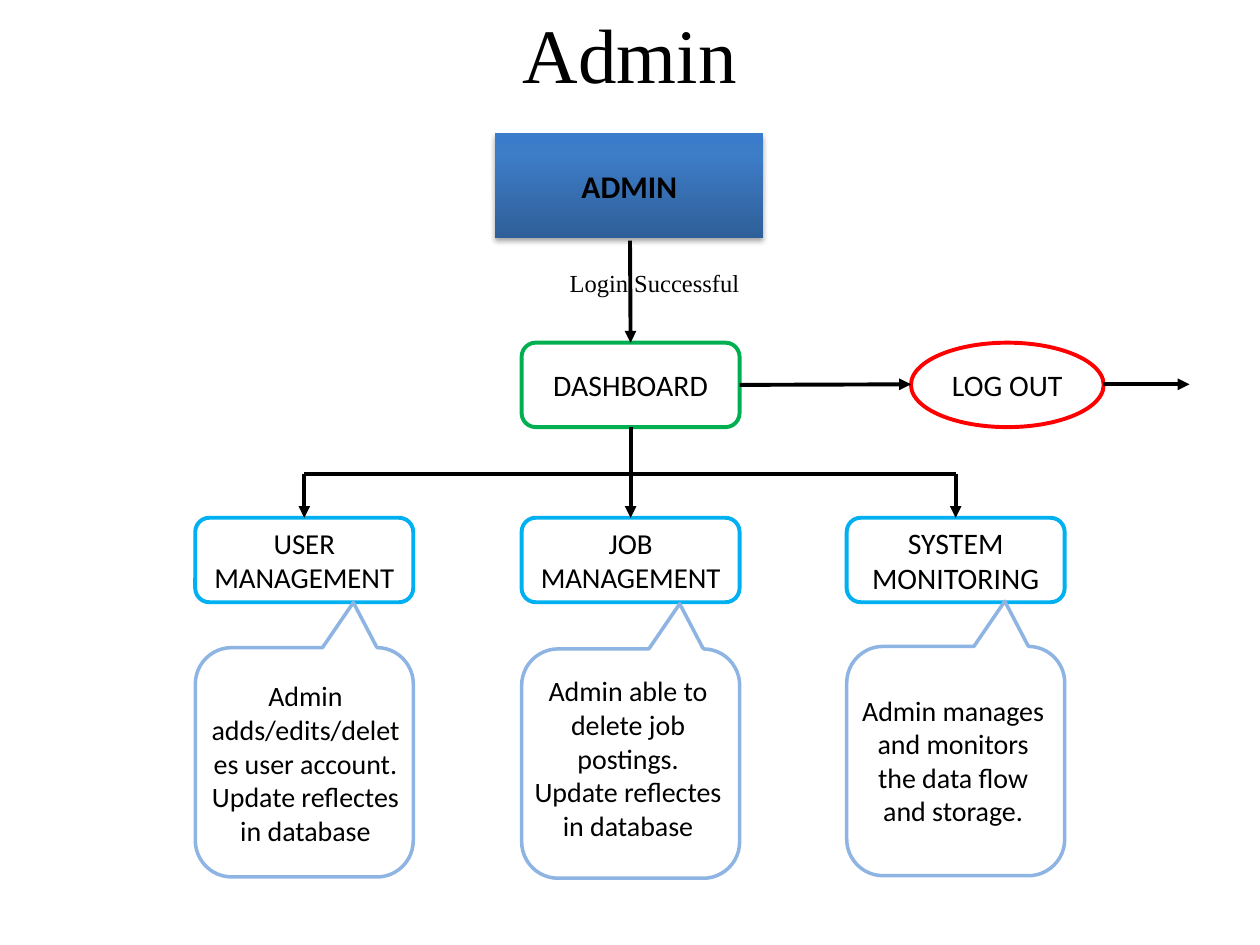
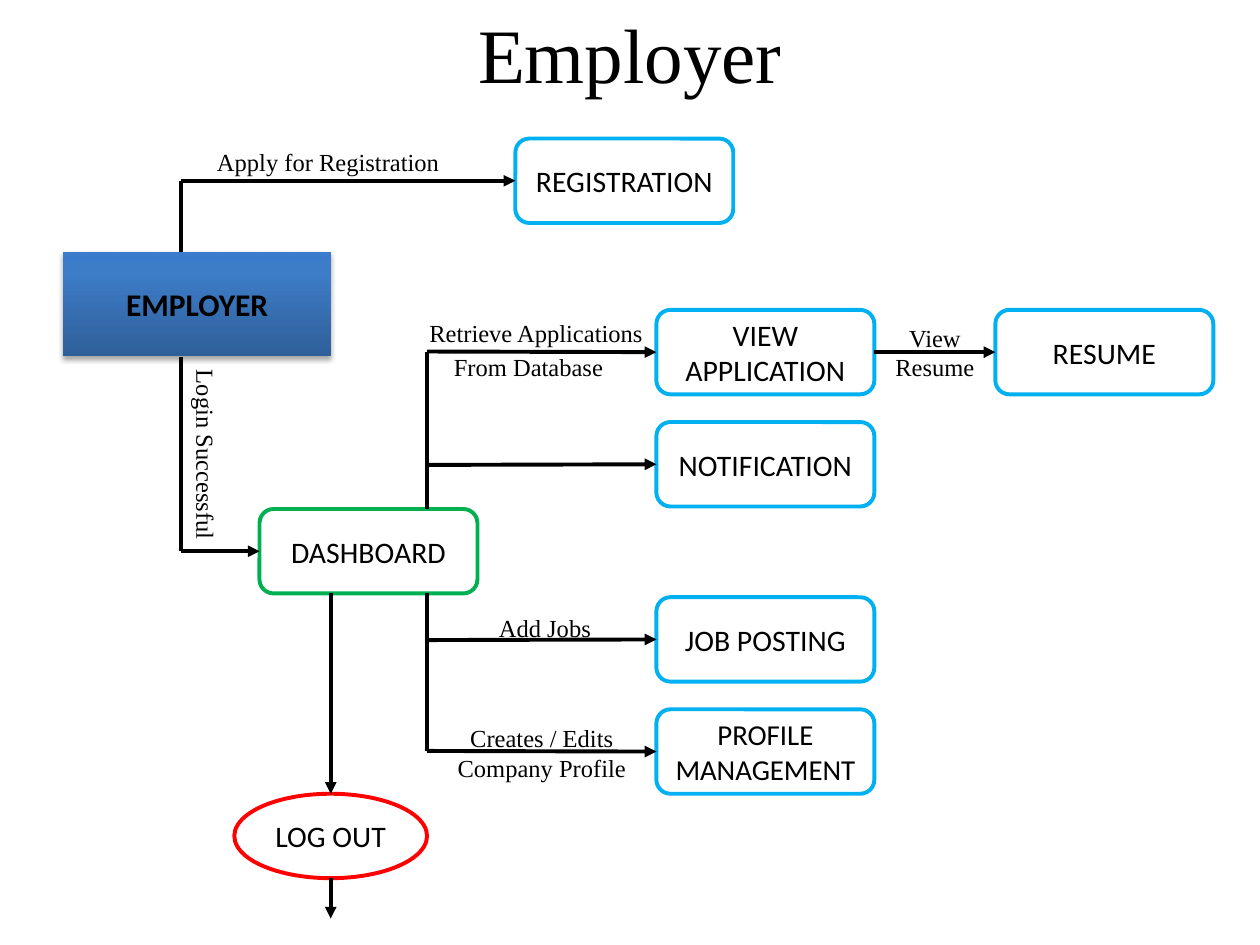
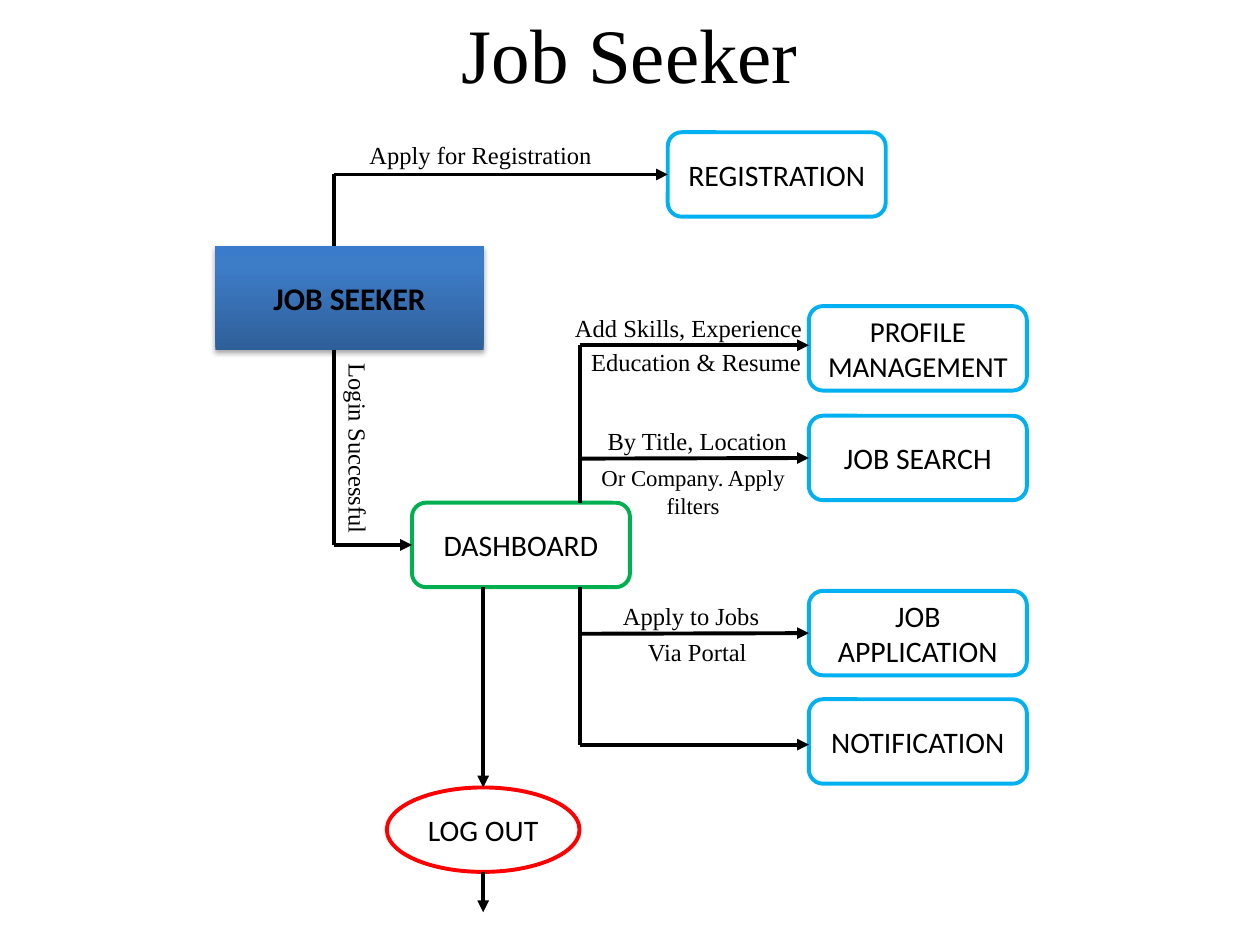
from copy import deepcopy
from dataclasses import dataclass
from typing import Any, NamedTuple

from lxml import etree
from pptx import Presentation
from pptx.dml.color import RGBColor
from pptx.enum.shapes import MSO_CONNECTOR, MSO_SHAPE
from pptx.enum.text import MSO_ANCHOR, PP_ALIGN
from pptx.oxml.ns import qn
from pptx.util import Inches, Pt

RECTANGLE = MSO_SHAPE.RECTANGLE
ROUNDED = MSO_SHAPE.ROUNDED_RECTANGLE
OVAL = MSO_SHAPE.OVAL
CALLOUT = MSO_SHAPE.ROUNDED_RECTANGULAR_CALLOUT
STRAIGHT = MSO_CONNECTOR.STRAIGHT
CENTER = PP_ALIGN.CENTER
MIDDLE = MSO_ANCHOR.MIDDLE
TOP, LEFT, BOTTOM, RIGHT = range(4)


@dataclass(frozen=True)
class Theme:
    heading_font: str = "Times New Roman"
    box_font: str = "Calibri"
    ink: str = "000000"
    paper: str = "FFFFFF"
    dashboard: str = "00B050"
    module: str = "00B0F0"
    log_out: str = "FF0000"
    callout: str = "8EB4E3"
    actor_gradient: tuple = ((0, "2F5F99"), (0.8, "3D7CC7"), (1, "3A7CCB"))
    title_size: float = 44
    actor_size: float = 18
    box_size: float = 17
    long_box_size: float = 16.5
    callout_size: float = 16
    label_size: float = 14
    small_label_size: float = 13
    line_width: float = 2.25
    callout_width: float = 2


THEME = Theme()

# Sizes in inches
ACTOR = (2.13, 0.83)
BOX = (1.73, 0.67)
LOG_OUT = (1.53, 0.67)
LABEL = (2.27, 0.4)
CALLOUT_BOX = (1.73, 1.82)
CALLOUT_TEXT = (1.73, 1.35)

# Admin: module, left, callout top, callout text, text position
ADMIN_MODULES = [
    ("USER MANAGEMENT", 1.55, 5.14,
     ["Admin adds/edits/deletes user account.", "Update reflectes in database"], (1.56, 5.38)),
    ("JOB MANAGEMENT", 4.14, 5.15,
     ["Admin able to delete job postings.", "Update reflectes in database"], (4.12, 5.34)),
    ("SYSTEM MONITORING", 6.72, 5.13,
     ["Admin manages and monitors the data flow and storage."], (6.7, 5.36)),
]

# Portal users: modules are (name, top); labels are (text, left, top, size, box)
PORTALS = [
    {
        "title": "Employer",
        "origin": (0.5, 2.0),
        "modules": [("VIEW APPLICATION", 2.46), ("NOTIFICATION", 3.35),
                    ("JOB POSTING", 4.74), ("PROFILE MANAGEMENT", 5.63)],
        "follow_up": ("RESUME", 7.9),
        "labels": [
            ("View Resume", 6.94, 2.06, THEME.label_size, (0.96, 1.47)),
            ("Add Jobs", 3.19, 4.78, THEME.label_size, LABEL),
            ("Creates / Edits Company Profile", 3.39, 5.24, THEME.label_size, (1.82, 1.47)),
            ("Retrieve Applications", 3.12, 2.44, THEME.label_size, LABEL),
            ("From Database", 3.06, 2.71, THEME.label_size, LABEL),
        ],
    },
    {
        "title": "Job Seeker",
        "origin": (1.71, 1.95),
        "modules": [("PROFILE MANAGEMENT", 2.43), ("JOB SEARCH", 3.3),
                    ("JOB APPLICATION", 4.69), ("NOTIFICATION", 5.55)],
        "follow_up": None,
        "labels": [
            ("Apply to Jobs", 4.35, 4.69, THEME.label_size, LABEL),
            ("Add Skills, Experience", 4.33, 2.4, THEME.label_size, LABEL),
            ("Education & Resume", 4.39, 2.67, THEME.label_size, LABEL),
            ("By Title, Location", 4.4, 3.3, THEME.label_size, LABEL),
            ("Or Company. Apply filters", 4.48, 3.71, THEME.small_label_size, (2.04, 0.38)),
            ("Via Portal", 4.4, 4.97, THEME.label_size, LABEL),
        ],
    },
]

# Portal layout, measured from the actor's top left corner
TRUNK_X, BRANCH_X, MODULE_X = 0.94, 2.89, 4.71
BRANCH_YS = (0.79, 1.69, 3.08, 3.96)
DASHBOARD_AT = (1.56, 2.04)
REGISTRATION_AT = (3.59, -0.9)
LOG_OUT_AT = (1.36, 4.3)
SNAP = 0.02


class Joint(NamedTuple):
    """The middle of one side of a box, where a connector is glued."""
    shape: Any
    side: int


def rgb(value):
    return RGBColor.from_string(value)


def inches(*values):
    return [Inches(value) for value in values]


def write(shape, paragraphs, size, font=THEME.box_font, bold=False):
    frame = shape.text_frame
    frame.word_wrap = True
    frame.vertical_anchor = MIDDLE
    frame.text = "\n".join(paragraphs)
    for paragraph in frame.paragraphs:
        paragraph.alignment = CENTER
        paragraph.font.name = font
        paragraph.font.size = Pt(size)
        paragraph.font.bold = bold
        paragraph.font.color.rgb = rgb(THEME.ink)


def add_text(slide, paragraphs, at, box, size, font=THEME.heading_font, rotation=0):
    text = slide.shapes.add_textbox(*inches(*at, *box))
    text.rotation = rotation
    write(text, paragraphs, size, font)


def add_outline(slide, kind, at, box, color, width=THEME.line_width):
    shape = slide.shapes.add_shape(kind, *inches(*at, *box))
    shape.shadow.inherit = False
    shape.fill.solid()
    shape.fill.fore_color.rgb = rgb(THEME.paper)
    shape.line.color.rgb = rgb(color)
    shape.line.width = Pt(width)
    return shape


def add_box(slide, name, at, color=THEME.module, kind=ROUNDED, box=BOX):
    shape = add_outline(slide, kind, at, box, color)
    size = THEME.long_box_size if "MANAGEMENT" in name else THEME.box_size
    write(shape, [name], size)
    return shape


def add_actor(slide, name, at):
    """Add the gradient box with a soft shadow that starts a flow."""
    actor = slide.shapes.add_shape(RECTANGLE, *inches(*at, *ACTOR))
    actor.line.fill.background()
    actor.fill.gradient()
    actor.fill.gradient_angle = 90
    properties = actor._element.spPr
    stops = properties.find(".//" + qn("a:gsLst"))
    stops.append(deepcopy(stops[0]))
    for stop, (position, color) in zip(actor.fill.gradient_stops, THEME.actor_gradient):
        stop.position = position
        stop.color.rgb = rgb(color)
    actor.shadow.inherit = False
    shadow = etree.SubElement(
        properties.find(qn("a:effectLst")), qn("a:outerShdw"),
        blurRad=str(Pt(3.1)), dist=str(Pt(1.8)), dir="5400000", rotWithShape="0")
    shade = etree.SubElement(shadow, qn("a:srgbClr"), val=THEME.ink)
    etree.SubElement(shade, qn("a:alpha"), val="35000")
    write(actor, [name], THEME.actor_size, bold=True)
    return actor


def add_line(slide, start, end, arrow=True):
    """Draw a line between two ends, each a point or a Joint."""
    points = [(0, 0) if isinstance(spot, Joint) else spot for spot in (start, end)]
    connector = slide.shapes.add_connector(STRAIGHT, *inches(*points[0], *points[1]))
    if isinstance(start, Joint):
        connector.begin_connect(*start)
    if isinstance(end, Joint):
        connector.end_connect(*end)
    connector.line.color.rgb = rgb(THEME.ink)
    connector.line.width = Pt(THEME.line_width)
    properties = connector._element.spPr
    if arrow:
        etree.SubElement(properties.find(qn("a:ln")), qn("a:tailEnd"), type="triangle")
    etree.SubElement(properties, qn("a:effectLst"))


def add_flow_slide(deck, title):
    slide = deck.slides.add_slide(deck.slide_layouts[6])
    add_text(slide, [title], (0.5, -0.21), (9, 1.25), THEME.title_size)
    return slide


def build_admin(deck):
    slide = add_flow_slide(deck, "Admin")
    add_actor(slide, "ADMIN", (3.93, 1.06))
    dashboard = add_box(slide, "DASHBOARD", (4.14, 2.72), THEME.dashboard)
    add_box(slide, "LOG OUT", (7.23, 2.72), THEME.log_out, OVAL, LOG_OUT)

    add_line(slide, (5, 1.91), Joint(dashboard, TOP))
    add_line(slide, Joint(dashboard, RIGHT), (7.23, 3.05))
    add_line(slide, (8.75, 3.05), (9.44, 3.05))
    add_text(slide, ["Login Successful"], (4.06, 2.04), LABEL, THEME.label_size)

    bus_y = 3.76
    centers = [left + BOX[0] / 2 for _, left, *_ in ADMIN_MODULES]
    add_line(slide, Joint(dashboard, BOTTOM), (centers[1], bus_y), arrow=False)
    add_line(slide, (centers[0], bus_y), (centers[-1], bus_y), arrow=False)
    for center, (name, left, callout_top, duties, text_at) in zip(centers, ADMIN_MODULES):
        module = add_box(slide, name, (left, 4.11))
        add_line(slide, (center, bus_y), Joint(module, TOP))
        callout = add_outline(slide, CALLOUT, (left, callout_top), CALLOUT_BOX,
                              THEME.callout, THEME.callout_width)
        callout.rotation = 180
        for index, value in enumerate((-0.225, 0.697, 0.167)):
            callout.adjustments[index] = value
        add_text(slide, duties, text_at, CALLOUT_TEXT, THEME.callout_size, THEME.box_font)


def build_portal(deck, portal):
    slide = add_flow_slide(deck, portal["title"])
    left, top = portal["origin"]

    def place(x, y):
        return left + x, top + y

    add_actor(slide, portal["title"].upper(), (left, top))
    dashboard = add_box(slide, "DASHBOARD", place(*DASHBOARD_AT), THEME.dashboard)
    registration = add_box(slide, "REGISTRATION", place(*REGISTRATION_AT))
    add_box(slide, "LOG OUT", place(*LOG_OUT_AT), THEME.log_out, OVAL, LOG_OUT)

    # Trunk from the actor to registration and dashboard
    for target, (_, target_y), actor_y in ((registration, REGISTRATION_AT, 0),
                                           (dashboard, DASHBOARD_AT, ACTOR[1])):
        corner = place(TRUNK_X, target_y + BOX[1] / 2)
        add_line(slide, place(TRUNK_X, actor_y), corner, arrow=False)
        add_line(slide, corner, Joint(target, LEFT))

    # Dashboard to log out and onwards
    dashboard_top = DASHBOARD_AT[1]
    dashboard_bottom = dashboard_top + BOX[1]
    log_out_x = LOG_OUT_AT[0] + LOG_OUT[0] / 2
    log_out_bottom = LOG_OUT_AT[1] + LOG_OUT[1]
    add_line(slide, place(log_out_x, dashboard_bottom), place(log_out_x, LOG_OUT_AT[1]))
    add_line(slide, place(log_out_x, log_out_bottom), place(log_out_x, log_out_bottom + 0.32))

    # Branches from the dashboard to the modules
    for edge, far_y in ((dashboard_top, BRANCH_YS[0]), (dashboard_bottom, BRANCH_YS[-1])):
        add_line(slide, place(BRANCH_X, edge), place(BRANCH_X, far_y), arrow=False)
    modules = []
    for (name, module_top), branch_y in zip(portal["modules"], BRANCH_YS):
        module = add_box(slide, name, (left + MODULE_X, module_top))
        end = place(MODULE_X, branch_y)
        if abs(module_top + BOX[1] / 2 - end[1]) <= SNAP:
            end = Joint(module, LEFT)
        add_line(slide, place(BRANCH_X, branch_y), end)
        modules.append(module)
    if portal["follow_up"]:
        name, follow_up_left = portal["follow_up"]
        follow_up = add_box(slide, name, (follow_up_left, portal["modules"][0][1]))
        add_line(slide, Joint(modules[0], RIGHT), Joint(follow_up, LEFT))

    add_text(slide, ["Login Successful"], place(0, 1.41), LABEL, THEME.label_size, rotation=90)
    add_text(slide, ["Apply for Registration"], place(0.97, -0.92), LABEL, THEME.label_size)
    for text, label_left, label_top, size, box in portal["labels"]:
        add_text(slide, [text], (label_left, label_top), box, size)


def main():
    deck = Presentation()
    deck.slide_width, deck.slide_height = inches(10, 7.5)
    build_admin(deck)
    for portal in PORTALS:
        build_portal(deck, portal)
    deck.save("out.pptx")


if __name__ == "__main__":
    main()
